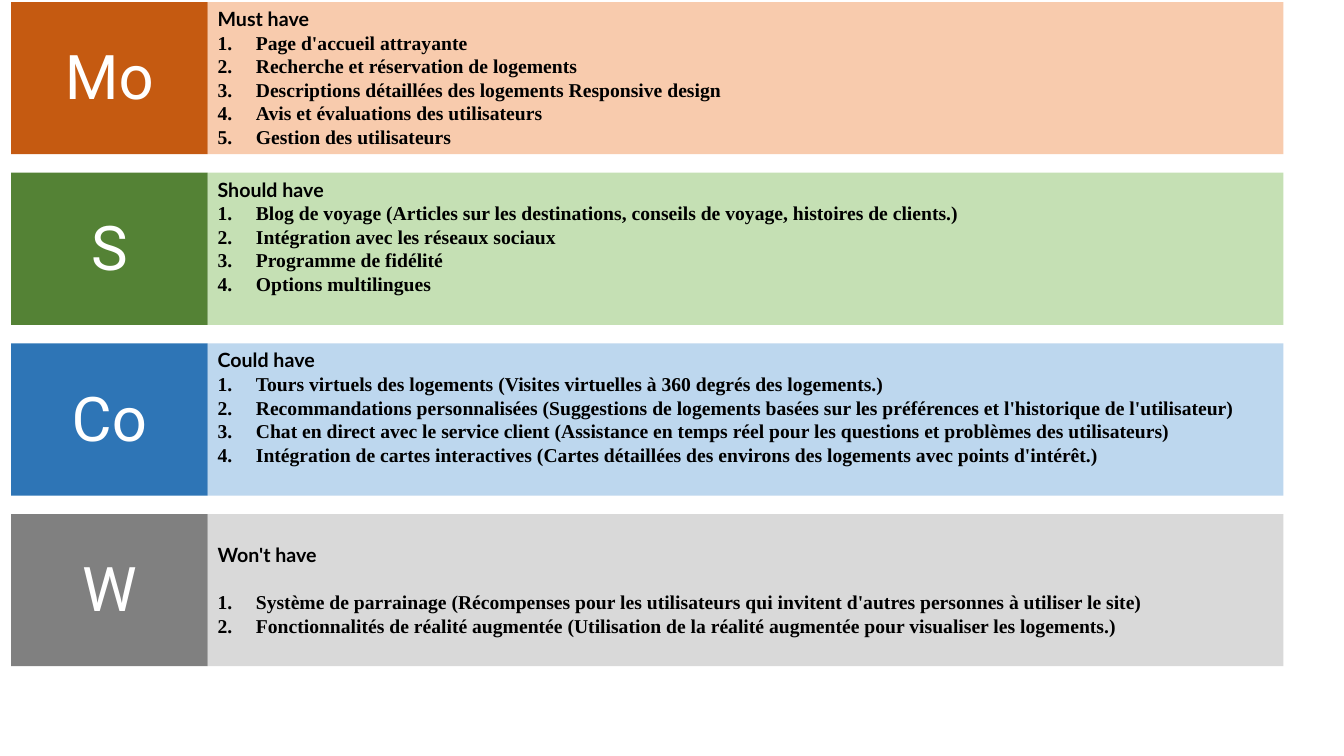
from lxml.etree import SubElement
from pptx import Presentation
from pptx.dml.color import RGBColor as Color
from pptx.enum.shapes import MSO_SHAPE as Shape
from pptx.enum.text import MSO_ANCHOR as Anchor, PP_ALIGN as Align
from pptx.oxml.ns import qn
from pptx.util import Inches, Pt

COLORS = {
    "must": "C55A11", "must_light": "F8CBAD",
    "should": "548235", "should_light": "C5E0B4",
    "could": "2E75B6", "could_light": "BDD7EE",
    "wont": "808080", "wont_light": "D9D9D9",
    "black": "000000", "white": "FFFFFF",
}
SLIDE_WIDTH, SLIDE_HEIGHT = 13.33, 7.5
LEFT, TOP = 0.11, 0.02
TILE_WIDTH, PANEL_WIDTH = 1.95, 10.67
ROW_HEIGHT = 1.51
ROW_PITCH = (5.1 - TOP) / 3
LABEL_INSET, LABEL_DROP, LABEL_HEIGHT = 0.11, 0.31, 0.84
LIST_INDENT = 0.38
BLANK_LINE = 17

LABEL = {"name": "Roboto", "size": Pt(44), "bold": False}
HEADING = {"name": "Lato", "size": Pt(14), "bold": True}
ITEM = {"name": "Times New Roman", "size": Pt(14), "bold": True}

PRIORITIES = [
    ("must", "Mo", "Must have", 0, [
        "Page d'accueil attrayante",
        "Recherche et réservation de logements",
        "Descriptions détaillées des logements Responsive design",
        "Avis et évaluations des utilisateurs",
        "Gestion des utilisateurs",
    ]),
    ("should", "S", "Should have", 0, [
        "Blog de voyage (Articles sur les destinations, conseils de voyage, histoires de clients.)",
        "Intégration avec les réseaux sociaux",
        "Programme de fidélité",
        "Options multilingues",
    ]),
    ("could", "Co", "Could have", 0, [
        "Tours virtuels des logements (Visites virtuelles à 360 degrés des logements.)",
        "Recommandations personnalisées (Suggestions de logements basées sur les préférences "
        "et l'historique de l'utilisateur)",
        "Chat en direct avec le service client (Assistance en temps réel pour les questions "
        "et problèmes des utilisateurs)",
        "Intégration de cartes interactives (Cartes détaillées des environs des logements "
        "avec points d'intérêt.)",
    ]),
    ("wont", "W", "Won't have", BLANK_LINE, [
        "Système de parrainage (Récompenses pour les utilisateurs qui invitent d'autres "
        "personnes à utiliser le site)",
        "Fonctionnalités de réalité augmentée (Utilisation de la réalité augmentée pour "
        "visualiser les logements.)",
    ]),
]


def add_block(group, left, top, width, height, color):
    box = group.shapes.add_shape(
        Shape.RECTANGLE, Inches(left), Inches(top), Inches(width), Inches(height))
    box.shadow.inherit = False
    box.fill.solid()
    box.fill.fore_color.rgb = Color.from_string(COLORS[color])
    box.line.fill.background()
    box.text_frame.word_wrap = True
    box.text_frame.vertical_anchor = Anchor.TOP
    return box


def write(para, text, style, color, align=Align.LEFT):
    para.alignment = align
    span = para.add_run()
    span.text = text
    for name, value in style.items():
        setattr(span.font, name, value)
    span.font.color.rgb = Color.from_string(COLORS[color])


def number(para):
    properties = para._p.get_or_add_pPr()
    properties.set("marL", str(Inches(LIST_INDENT)))
    properties.set("indent", str(-Inches(LIST_INDENT)))
    SubElement(properties, qn("a:buFont"), typeface="+mj-lt")
    SubElement(properties, qn("a:buAutoNum"), type="arabicPeriod")


def add_panel(group, top, color, heading, gap, items):
    box = add_block(group, LEFT + TILE_WIDTH, top, PANEL_WIDTH, ROW_HEIGHT, color)
    frame = box.text_frame
    frame.margin_top = Inches(0.05) + Pt(gap)
    title = frame.paragraphs[0]
    write(title, heading, HEADING, "black")
    title.space_after = Pt(gap)
    for item in items:
        para = frame.add_paragraph()
        write(para, item, ITEM, "black")
        number(para)


def add_tile(group, top, color, letters):
    add_block(group, LEFT, top, TILE_WIDTH, ROW_HEIGHT, color)
    label = add_block(group, LEFT + LABEL_INSET, top + LABEL_DROP,
                      TILE_WIDTH - 2 * LABEL_INSET, LABEL_HEIGHT, color)
    write(label.text_frame.paragraphs[0], letters, LABEL, "white", Align.CENTER)


def main():
    deck = Presentation()
    deck.slide_width, deck.slide_height = Inches(SLIDE_WIDTH), Inches(SLIDE_HEIGHT)
    page = deck.slides.add_slide(deck.slide_layouts[6])
    for row, (color, letters, heading, gap, items) in enumerate(PRIORITIES):
        top = TOP + row * ROW_PITCH
        group = page.shapes.add_group_shape()
        add_panel(group, top, f"{color}_light", heading, gap, items)
        add_tile(group, top, color, letters)
    deck.save("out.pptx")


if __name__ == "__main__":
    main()
